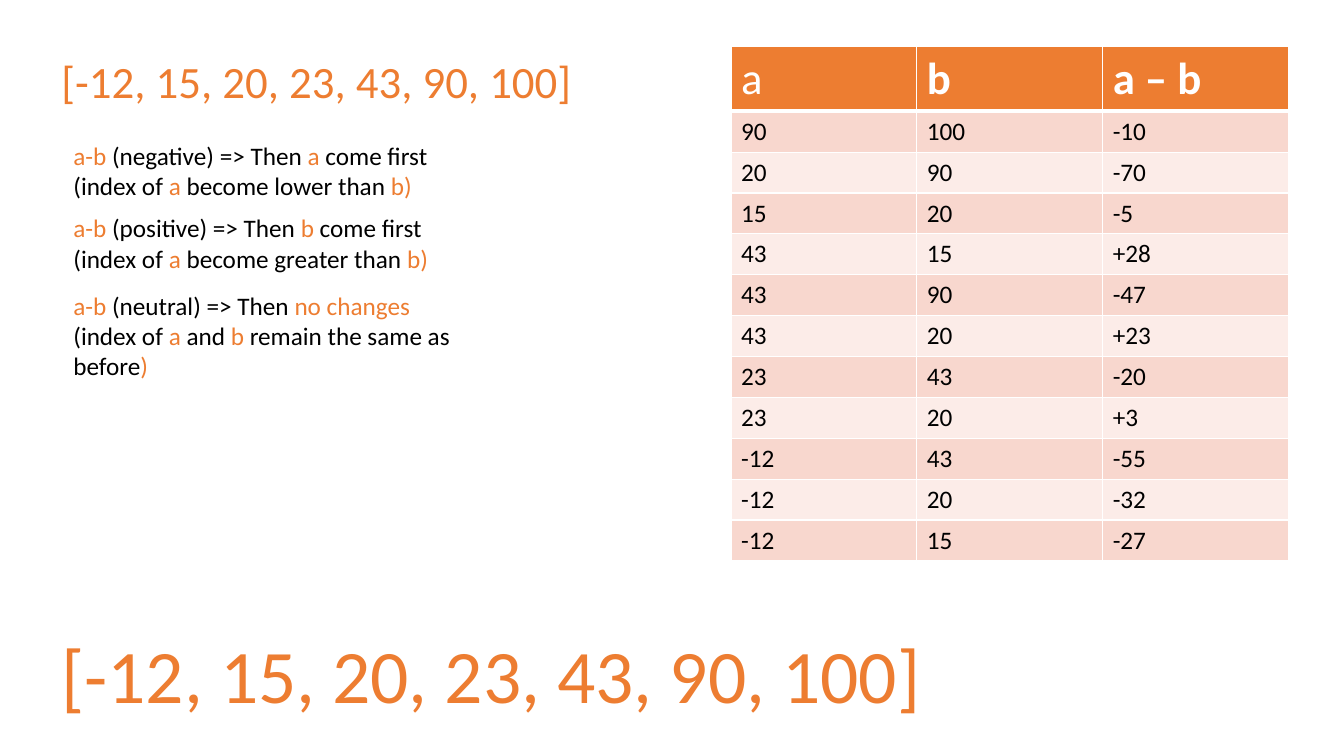
import itertools

import pptx
import pptx.dml.color
import pptx.enum.text
import pptx.oxml
import pptx.oxml.ns
import pptx.util

ORANGE = pptx.dml.color.RGBColor(0xED, 0x7D, 0x31)
DARK_BAND = pptx.dml.color.RGBColor(0xF8, 0xD7, 0xCE)
LIGHT_BAND = pptx.dml.color.RGBColor(0xFC, 0xEC, 0xE8)
BLACK = pptx.dml.color.RGBColor(0, 0, 0)
WHITE = pptx.dml.color.RGBColor(255, 255, 255)

FONT = "Calibri"
SORTED_ARRAY = "[-12, 15, 20, 23, 43, 90, 100]"
ARRAY_LEFT = 0.51
RULE_LEFT, RULE_WIDTH = 0.63, 4.17
HEADER_HEIGHT = 0.64
TABLE_LEFT, TABLE_TOP, TABLE_WIDTH, TABLE_HEIGHT = 7.25, 0.46, 5.53, 5.1

COMPARED_PAIRS = [
    (90, 100), (20, 90), (15, 20), (43, 15), (43, 90), (43, 20),
    (23, 43), (23, 20), (-12, 43), (-12, 20), (-12, 15),
]

# Top, height and runs of each rule; runs alternate between orange and black.
SORT_RULES = [
    (1.34, 0.71, ["a-b", " (negative) => Then ", "a", " come first (index of ",
                  "a", " become lower than ", "b)"]),
    (2.06, 0.71, ["a-b", " (positive) => Then ", "b", " come first (index of ",
                  "a", " become greater than ", "b)"]),
    (2.83, 1.01, ["a-b", " (neutral) => Then ", "no changes ", "(index of ",
                  "a", " and ", "b ", "remain the same as before", ")"]),
]


def place(shape, left, top, width, height):
    shape.left, shape.top, shape.width, shape.height = (
        pptx.util.Inches(length) for length in (left, top, width, height))


def add_run(paragraph, text, size, color, bold=False):
    run = paragraph.add_run()
    run.text = text
    run.font.name = FONT
    run.font.size = pptx.util.Pt(size)
    run.font.bold = bold
    run.font.color.rgb = color


def write_text(shape, texts, size):
    """Fill a wrapped, top-left text frame with runs in alternating colours."""
    frame = shape.text_frame
    frame.word_wrap = True
    frame.auto_size = pptx.enum.text.MSO_AUTO_SIZE.NONE
    frame.vertical_anchor = pptx.enum.text.MSO_ANCHOR.TOP
    paragraph = frame.paragraphs[0]
    paragraph.alignment = pptx.enum.text.PP_ALIGN.LEFT
    for text, color in zip(texts, itertools.cycle([ORANGE, BLACK])):
        add_run(paragraph, text, size, color)


def add_text(slide, box, texts, size):
    write_text(slide.shapes.add_textbox(*map(pptx.util.Inches, box)), texts, size)


def set_borders(cell, top=1, bottom=1):
    """Draw white cell borders, with widths in points."""
    properties = cell._tc.get_or_add_tcPr()
    widths = {"lnL": 1, "lnR": 1, "lnT": top, "lnB": bottom}
    for position, (side, width) in enumerate(widths.items()):
        properties.insert(position, pptx.oxml.parse_xml(
            f'<a:{side} {pptx.oxml.ns.nsdecls("a")} w="{pptx.util.Pt(width)}">'
            f'<a:solidFill><a:srgbClr val="{WHITE}"/></a:solidFill></a:{side}>'))


def fill_cell(cell, text, size, color, fill, bold=False):
    cell.fill.solid()
    cell.fill.fore_color.rgb = fill
    add_run(cell.text_frame.paragraphs[0], text, size, color, bold)


def add_comparison_table(slide):
    box = map(pptx.util.Inches, (TABLE_LEFT, TABLE_TOP, TABLE_WIDTH, TABLE_HEIGHT))
    table = slide.shapes.add_table(len(COMPARED_PAIRS) + 1, 3, *box).table
    body_height = (TABLE_HEIGHT - HEADER_HEIGHT) / len(COMPARED_PAIRS)
    for index, row in enumerate(table.rows):
        row.height = pptx.util.Inches(body_height if index else HEADER_HEIGHT)

    for column, heading in enumerate(["a", "b", "a – b"]):
        cell = table.cell(0, column)
        fill_cell(cell, heading, 32, WHITE, ORANGE, bold=column > 0)
        set_borders(cell, bottom=3)

    bands = itertools.cycle([DARK_BAND, LIGHT_BAND])
    for row, ((a, b), band) in enumerate(zip(COMPARED_PAIRS, bands), start=1):
        for column, text in enumerate([str(a), str(b), f"{a - b:+d}"]):
            cell = table.cell(row, column)
            fill_cell(cell, text, 18, BLACK, band)
            set_borders(cell, top=3 if row == 1 else 1)


def main():
    presentation = pptx.Presentation()
    presentation.slide_width = pptx.util.Inches(13.33)
    presentation.slide_height = pptx.util.Inches(7.5)
    slide = presentation.slides.add_slide(
        presentation.slide_layouts.get_by_name("Title Only"))

    add_comparison_table(slide)
    place(slide.shapes.title, ARRAY_LEFT, 0.48, 5.3, HEADER_HEIGHT)
    write_text(slide.shapes.title, [SORTED_ARRAY], 32)
    add_text(slide, (ARRAY_LEFT, 6.18, 12.27, 1.01), [SORTED_ARRAY], 54)
    for top, height, texts in SORT_RULES:
        add_text(slide, (RULE_LEFT, top, RULE_WIDTH, height), texts, 18)

    presentation.save("out.pptx")


if __name__ == "__main__":
    main()
